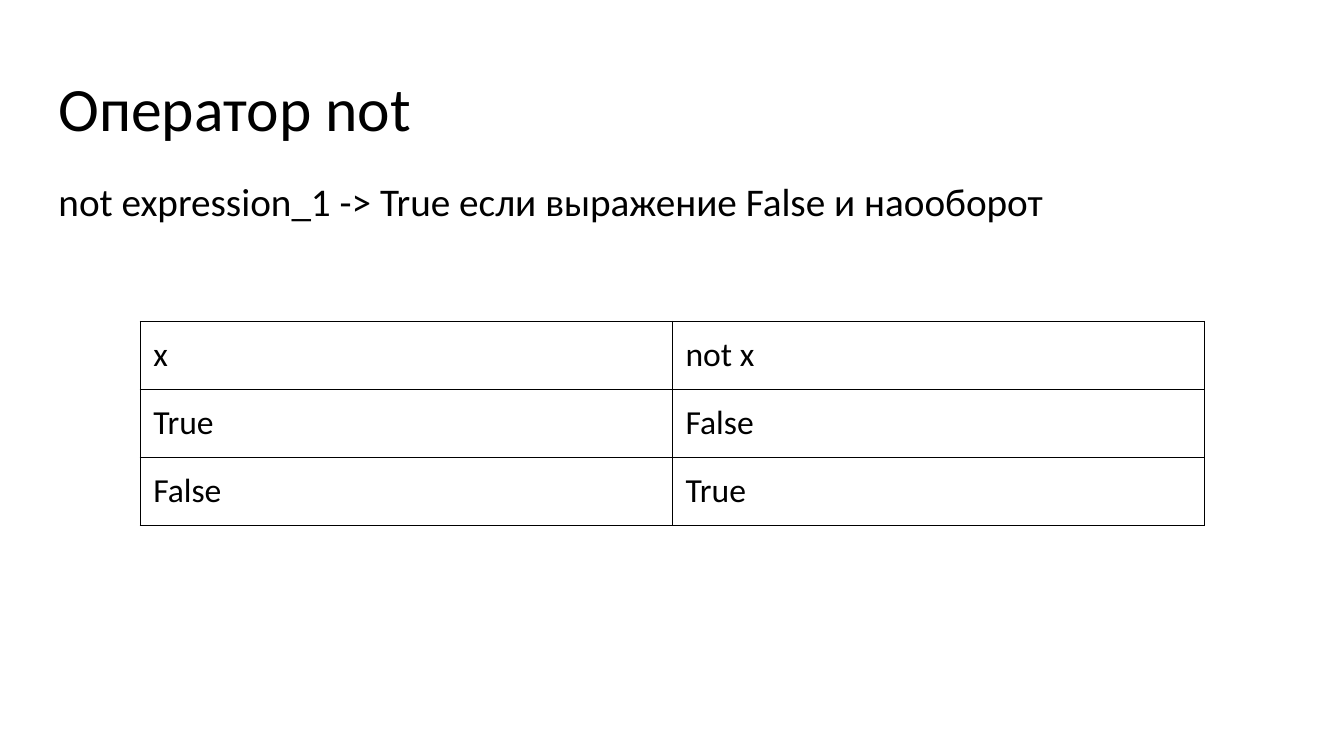
from pptx import Presentation
from pptx.dml.color import RGBColor
from pptx.enum import text
from pptx.oxml import parse_xml
from pptx.oxml.ns import nsdecls
from pptx.util import Inches, Pt

BLACK = "000000"
INSET = Inches(0.13)
TRUTH_TABLE = [("x", "not x"), ("True", "False"), ("False", "True")]


def colour(value):
    return RGBColor.from_string(value)


def format_runs(paragraph, size):
    for run in paragraph.runs:
        run.font.name = "Calibri"
        run.font.size = Pt(size)
        run.font.color.rgb = colour(BLACK)


def set_insets(target):
    """Give a text frame or table cell the same margin on every side."""
    target.margin_left = target.margin_right = INSET
    target.margin_top = target.margin_bottom = INSET


def fill_placeholder(placeholder, wording, box, size, space_after=0):
    placeholder.left, placeholder.top, placeholder.width, placeholder.height = map(Inches, box)
    frame = placeholder.text_frame
    frame.text = wording
    frame.word_wrap = True
    frame.auto_size = text.MSO_AUTO_SIZE.NONE
    frame.vertical_anchor = text.MSO_ANCHOR.TOP
    set_insets(frame)
    paragraph = frame.paragraphs[0]
    paragraph.alignment = text.PP_ALIGN.LEFT
    paragraph.line_spacing = 0.9
    paragraph.space_before = Pt(0)
    paragraph.space_after = Pt(space_after)
    format_runs(paragraph, size)
    return paragraph


def remove_bullet(paragraph):
    properties = paragraph._p.get_or_add_pPr()
    properties.set("marL", "0")
    properties.set("indent", "0")
    properties.append(parse_xml(f"<a:buNone {nsdecls('a')}/>"))


def add_borders(cell, width=1):
    properties = cell._tc.get_or_add_tcPr()
    for position, side in enumerate(("lnL", "lnR", "lnT", "lnB")):
        properties.insert(position, parse_xml(
            f'<a:{side} {nsdecls("a")} w="{Pt(width)}"><a:solidFill>'
            f'<a:srgbClr val="{BLACK}"/></a:solidFill></a:{side}>'))


def add_truth_table(slide, rows):
    table = slide.shapes.add_table(
        len(rows), len(rows[0]),
        Inches(1.39), Inches(3.19), Inches(10.56), Inches(2.02)).table
    table.first_row = table.horz_banding = False
    for row, values in zip(table.rows, rows):
        for cell, value in zip(row.cells, values):
            cell.text = value
            cell.fill.background()
            set_insets(cell)
            format_runs(cell.text_frame.paragraphs[0], 24)
            add_borders(cell)


def main():
    presentation = Presentation()
    presentation.slide_width = Inches(13.33)
    presentation.slide_height = Inches(7.5)
    slide = presentation.slides.add_slide(presentation.slide_layouts[1])
    title, definition = slide.placeholders
    fill_placeholder(title, "Оператор not", (0.45, 0.65, 12.42, 0.84), 44)
    rule = fill_placeholder(
        definition, "not expression_1 -> True если выражение False и наооборот",
        (0.45, 1.68, 12.18, 0.95), 28, space_after=21.3)
    remove_bullet(rule)
    add_truth_table(slide, TRUTH_TABLE)
    presentation.save("out.pptx")


if __name__ == "__main__":
    main()
